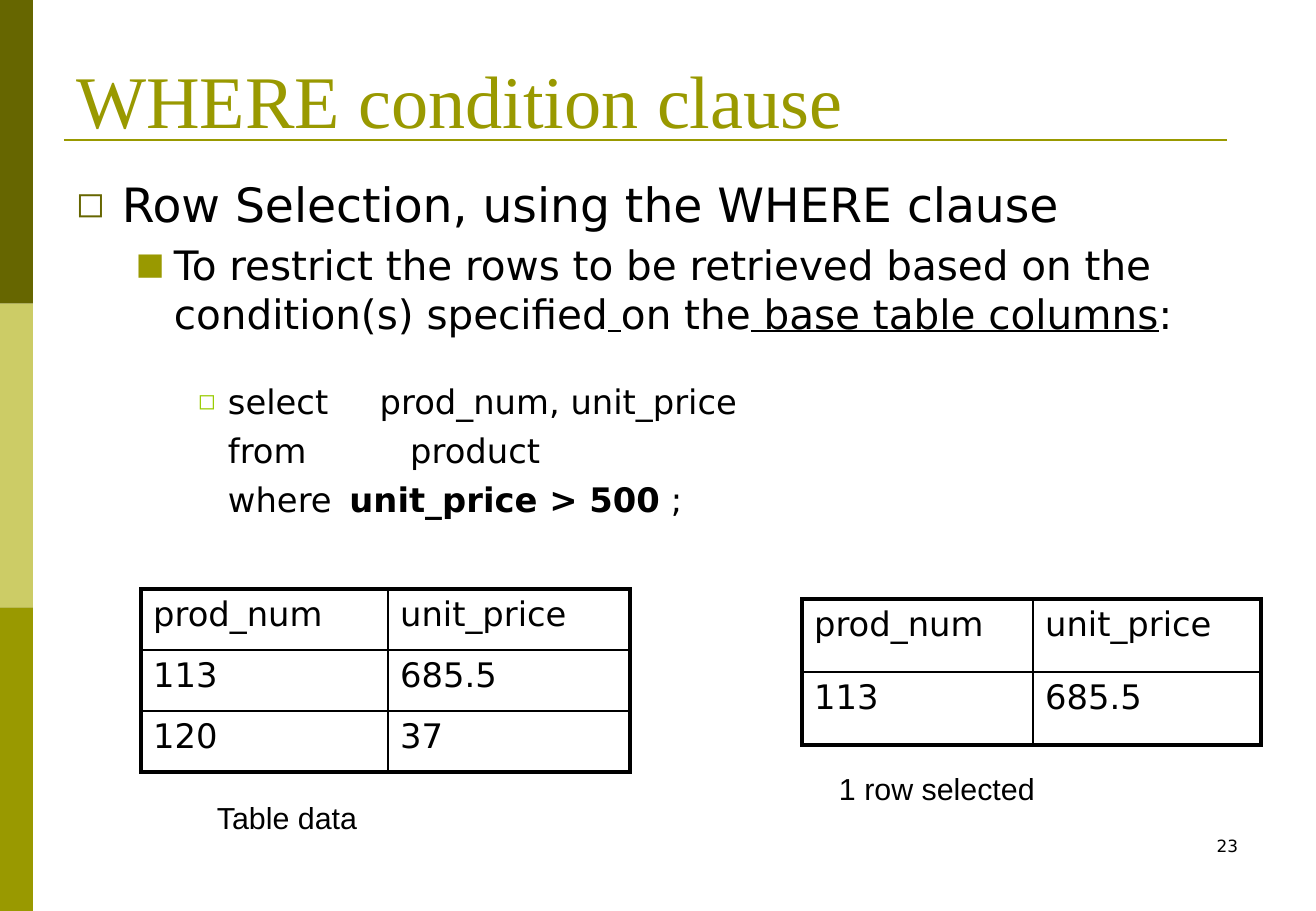
"""Build the slide about the WHERE condition clause."""
from lxml import etree
from pptx import Presentation
from pptx import util as u
from pptx.dml.color import RGBColor
from pptx.enum import shapes, text
from pptx.oxml.ns import qn

SCALE = 914400 / 121.5
SIZE = (1316, 911)
BLACK, OLIVE, DARK, PALE, LIME = "000000", "999900", "666600", "CCCC66", "99CC00"
SANS, SERIF, ARIAL = "DejaVu Sans", "Times New Roman", "Arial"

TITLE = "WHERE condition clause"
STRIPES = [DARK, PALE, OLIVE]
STRIPE_WIDTH = 33
RULE = (64, 140, 1227, 140)
BODY_BOX = (64, 169, 1215, 660)
BODY = [
    {"runs": [("Row Selection, using the WHERE clause", {})], "size": 28,
     "left": 46, "hang": 46, "before": 2, "bullet": ("◻", DARK, 75)},
    {"runs": [("To restrict the rows to be retrieved based on the condition(s) specified", {}),
              (" ", {"underline": True}), ("on the", {}),
              (" base table columns", {"underline": True}), (":", {})],
     "size": 24, "left": 98, "hang": 38, "before": 5, "bullet": ("■", OLIVE, 75)},
    {"runs": [("select\tprod_num, unit_price", {})], "size": 20,
     "left": 152, "hang": 30, "before": 26, "bullet": ("◻", LIME, 65)},
    {"runs": [("\tfrom\t\tproduct", {})], "size": 20,
     "left": 152, "hang": 30, "before": 5, "bullet": None},
    {"runs": [("\twhere \t", {}), ("unit_price > 500", {"bold": True}), (" ;", {})],
     "size": 20, "left": 152, "hang": 30, "before": 5, "bullet": None},
]
HEADER = ("prod_num", "unit_price")
TABLES = [
    {"at": (141, 589), "columns": (247, 242), "row": 61,
     "rows": [HEADER, ("113", "685.5"), ("120", "37")]},
    {"at": (802, 599), "columns": (231, 228), "row": 73,
     "rows": [HEADER, ("113", "685.5")]},
]
LABELS = [
    ("Table data", (205, 793, 168, 49), ARIAL, 18, text.PP_ALIGN.LEFT),
    ("1 row selected", (827, 764, 220, 49), ARIAL, 18, text.PP_ALIGN.LEFT),
    ("23", (943, 830, 307, 61), SANS, 10, text.PP_ALIGN.RIGHT),
]


def px(*lengths):
    return [u.Emu(round(length * SCALE)) for length in lengths]


def color(value):
    return RGBColor.from_string(value)


def assign(target, values):
    for name, value in values.items():
        setattr(target, name, value)


def add_run(paragraph, words, name, size, fill=BLACK, **extra):
    run = paragraph.add_run()
    run.text = words
    assign(run.font, {"name": name, "size": u.Pt(size), **extra})
    run.font.color.rgb = color(fill)


def add_bullet(properties, character, fill, percent):
    holder = etree.SubElement(properties, qn("a:buClr"))
    etree.SubElement(holder, qn("a:srgbClr"), val=fill)
    etree.SubElement(properties, qn("a:buSzPct"), val=str(percent * 1000))
    etree.SubElement(properties, qn("a:buFont"), typeface=SANS)
    etree.SubElement(properties, qn("a:buChar"), char=character)


def add_frame(slide):
    height = SIZE[1] / len(STRIPES)
    for index, fill in enumerate(STRIPES):
        stripe = slide.shapes.add_shape(
            shapes.MSO_SHAPE.RECTANGLE, *px(0, index * height, STRIPE_WIDTH, height))
        stripe.shadow.inherit = False
        stripe.fill.solid()
        stripe.fill.fore_color.rgb = color(fill)
        stripe.line.fill.background()
    rule = slide.shapes.add_connector(shapes.MSO_CONNECTOR.STRAIGHT, *px(*RULE))
    rule.line.color.rgb = color(OLIVE)
    rule.line.width = u.Pt(1.5)
    etree.SubElement(rule.element.spPr, qn("a:effectLst"))


def add_title(slide):
    title = slide.shapes.title
    assign(title, dict(zip(("left", "top", "width", "height"), px(64, 34, 1185, 115))))
    assign(title.text_frame, {"vertical_anchor": text.MSO_ANCHOR.BOTTOM, "word_wrap": True,
                              "auto_size": text.MSO_AUTO_SIZE.NONE})
    paragraph = title.text_frame.paragraphs[0]
    paragraph.alignment = text.PP_ALIGN.LEFT
    add_run(paragraph, TITLE, SERIF, 44, OLIVE)


def add_body(slide):
    frame = slide.shapes.add_textbox(*px(*BODY_BOX)).text_frame
    frame.word_wrap = True
    for index, item in enumerate(BODY):
        paragraph = frame.add_paragraph() if index else frame.paragraphs[0]
        paragraph.space_before = u.Pt(item["before"])
        properties = paragraph._p.get_or_add_pPr()
        left, indent = px(item["left"], -item["hang"])
        properties.set("marL", str(left))
        properties.set("indent", str(indent))
        if item["bullet"]:
            add_bullet(properties, *item["bullet"])
        for words, extra in item["runs"]:
            add_run(paragraph, words, SANS, item["size"], **extra)


def add_borders(cell, edges):
    properties = cell._tc.get_or_add_tcPr()
    for side, outer in edges.items():
        width = u.Pt(2.25 if outer else 1)
        line = etree.SubElement(properties, qn(f"a:ln{side}"), w=str(width))
        fill = etree.SubElement(line, qn("a:solidFill"))
        etree.SubElement(fill, qn("a:srgbClr"), val=BLACK)


def add_grid(slide, at, columns, row, rows):
    table = slide.shapes.add_table(
        len(rows), len(columns), *px(*at, sum(columns), row * len(rows))).table
    assign(table, {"first_row": False, "horz_banding": False})
    for column, width in zip(table.columns, px(*columns)):
        column.width = width
    for r, values in enumerate(rows):
        table.rows[r].height = px(row)[0]
        for c, value in enumerate(values):
            cell = table.cell(r, c)
            add_borders(cell, {"L": c == 0, "R": c == len(columns) - 1,
                               "T": r == 0, "B": r == len(rows) - 1})
            cell.fill.background()
            add_run(cell.text_frame.paragraphs[0], value, SANS, 20)


def add_label(slide, words, box, name, size, alignment):
    frame = slide.shapes.add_textbox(*px(*box)).text_frame
    frame.word_wrap = False
    frame.paragraphs[0].alignment = alignment
    add_run(frame.paragraphs[0], words, name, size)


def main():
    presentation = Presentation()
    presentation.slide_width, presentation.slide_height = px(*SIZE)
    slide = presentation.slides.add_slide(presentation.slide_layouts[5])
    add_frame(slide)
    add_title(slide)
    add_body(slide)
    for grid in TABLES:
        add_grid(slide, **grid)
    for label in LABELS:
        add_label(slide, *label)
    presentation.save("out.pptx")


if __name__ == "__main__":
    main()
